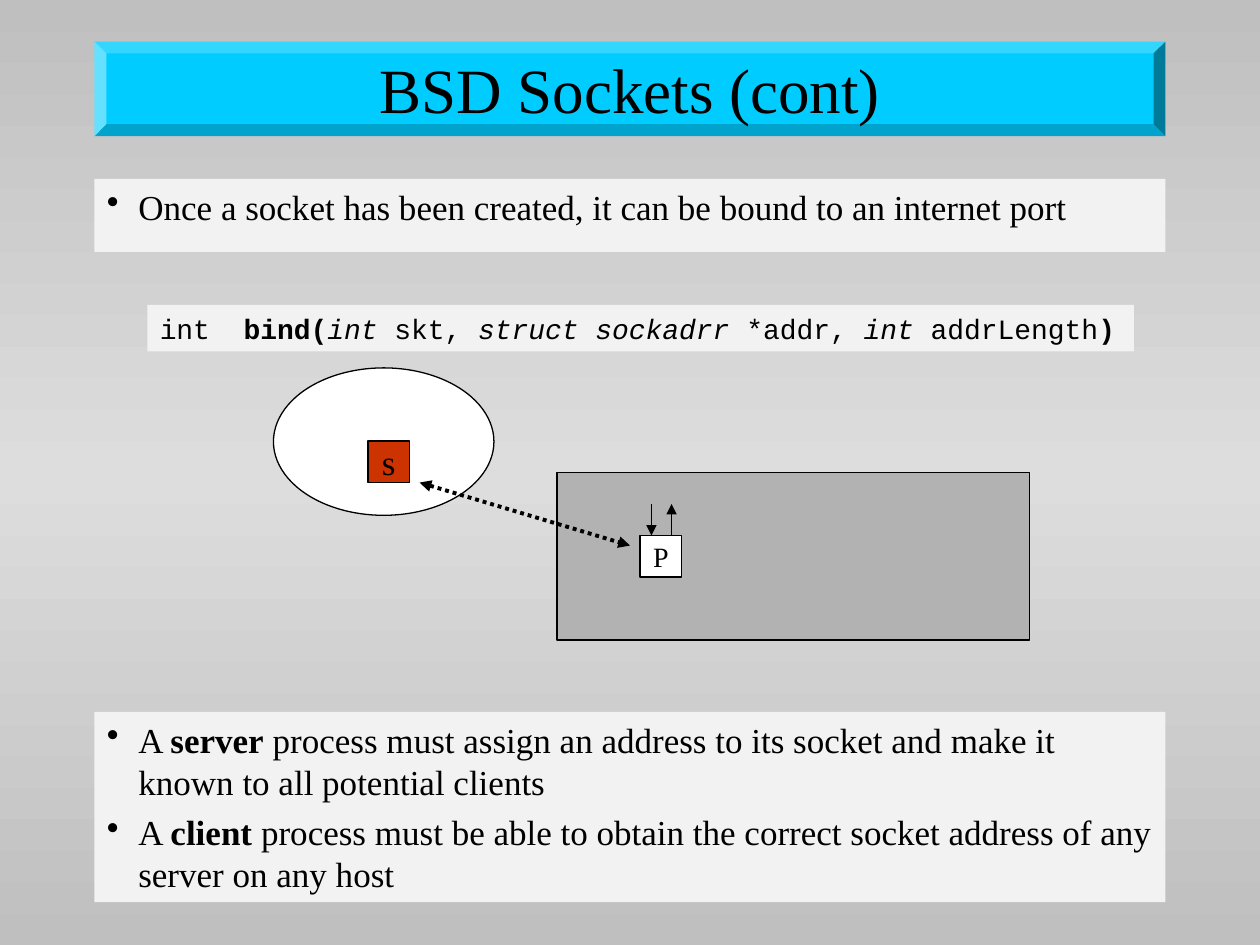
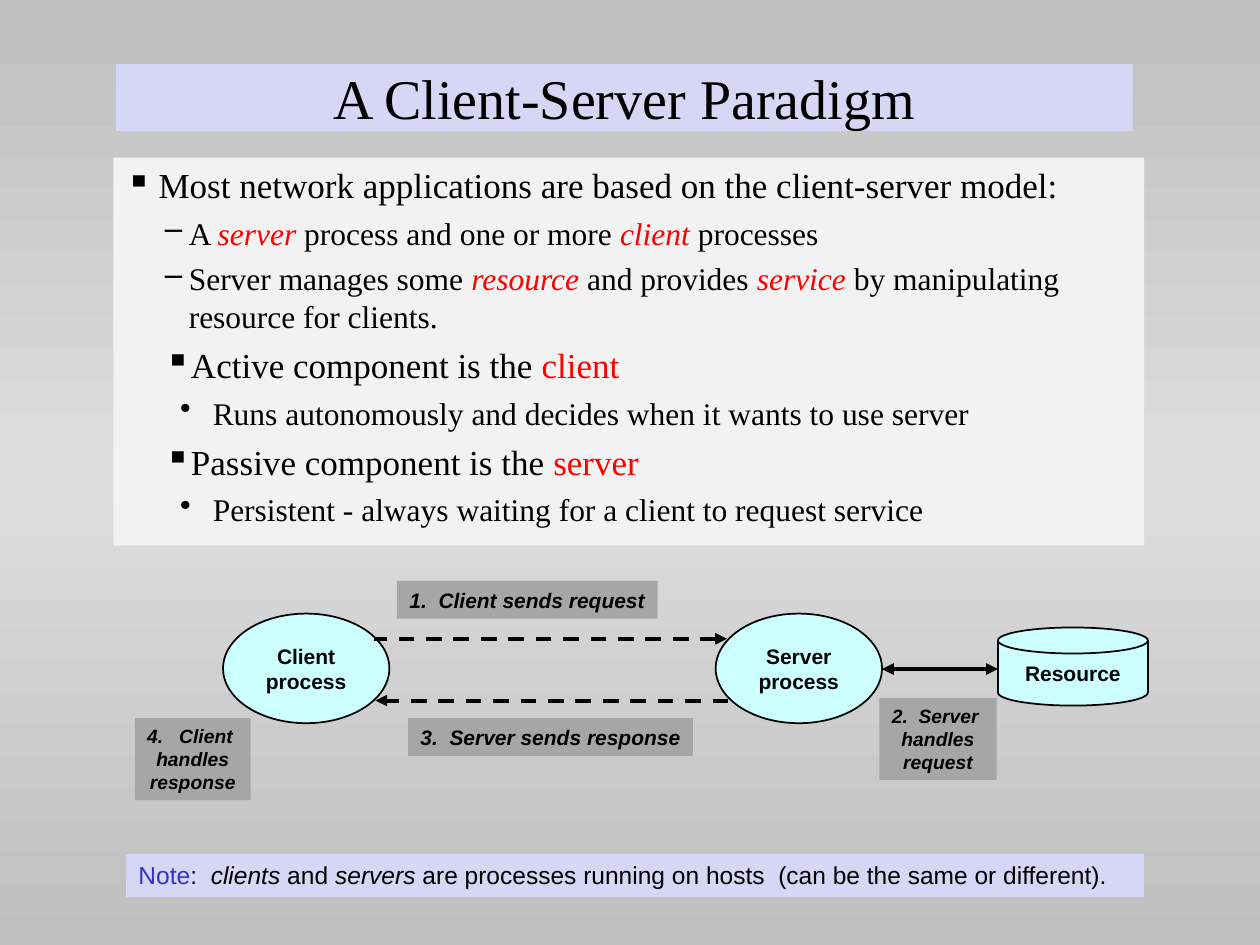
import copy
from dataclasses import dataclass
from typing import Any, Optional

import pptx
import pptx.dml.color
import pptx.enum.dml
import pptx.enum.shapes
import pptx.enum.text
import pptx.oxml
import pptx.oxml.ns
import pptx.util
from pptx.util import Inches

SHAPE = pptx.enum.shapes.MSO_SHAPE
ALIGN = pptx.enum.text.PP_ALIGN
ANCHOR = pptx.enum.text.MSO_ANCHOR
DASH = pptx.enum.dml.MSO_LINE
qn = pptx.oxml.ns.qn


@dataclass(frozen=True)
class Theme:
    black: str = "000000"
    white: str = "FFFFFF"
    backdrop: tuple[str, ...] = ("BFBFBF", "DDDDDD", "BFBFBF")
    panel: str = "F2F2F2"
    lavender: str = "D6D6F5"
    banner: str = "00CCFF"
    host: str = "B2B2B2"
    socket: str = "CC3300"
    process: str = "CCFFFF"
    step: str = "A6A6A6"
    emphasis: str = "FF0000"
    note: str = "3333CC"
    serif: str = "Times New Roman"
    sans: str = "Arial"
    mono: str = "Courier New"
    banner_size: float = 36
    title_size: float = 32
    body_size: float = 20
    detail_size: float = 18
    code_size: float = 16
    note_size: float = 14
    label_size: float = 12
    small_size: float = 11
    hairline: float = 0.75
    outline: float = 1
    arrow: float = 2.25


THEME = Theme()


@dataclass(frozen=True)
class Span:
    text: str
    bold: bool = False
    italic: bool = False
    color: str = THEME.black


@dataclass(frozen=True)
class Bullet:
    mark: str
    margin: float
    hanging: float
    level: int = 0
    size: float = THEME.body_size


@dataclass(frozen=True)
class Line:
    spans: tuple[Span, ...]
    bullet: Optional[Bullet] = None


@dataclass(frozen=True)
class Block:
    box: tuple[float, float, float, float]
    fill: str
    lines: tuple[Line, ...] = ()
    size: float = THEME.body_size
    font: str = THEME.serif
    outline: float = 0
    shape: SHAPE = SHAPE.RECTANGLE
    centred: bool = False
    wrap: bool = True


@dataclass(frozen=True)
class Arrow:
    start: tuple[float, float]
    end: tuple[float, float]
    width: float = THEME.arrow
    dash: Optional[DASH] = None
    head: bool = False
    tail: bool = False


DOT = Bullet("•", 0.25, 0.25)
SQUARE = Bullet("▪", 0.26, 0.26)
DASHED = Bullet("–", 0.5, 0.19, 1, THEME.detail_size)
SUBSQUARE = Bullet("▪", 0.5, 0.19, 1)
SUBDOT = Bullet("•", 0.69, 0.26, 2, THEME.detail_size)


def rgb(value: str) -> pptx.dml.color.RGBColor:
    return pptx.dml.color.RGBColor.from_string(value)


def line(*parts: Span | str, bullet: Optional[Bullet] = None) -> Line:
    return Line(tuple(Span(p) if isinstance(p, str) else p for p in parts), bullet)


def red(text: str, italic: bool = True) -> Span:
    return Span(text, italic=italic, color=THEME.emphasis)


def bold(text: str) -> Span:
    return Span(text, bold=True)


def italic(text: str) -> Span:
    return Span(text, italic=True)


def set_bullet(paragraph: Any, bullet: Bullet, first: bool) -> None:
    paragraph.level = bullet.level
    properties = paragraph._p.get_or_add_pPr()
    properties.set("marL", str(Inches(bullet.margin)))
    properties.set("indent", str(-Inches(bullet.hanging)))
    color = pptx.oxml.ns.qn("a:buClr")
    tint = properties.makeelement(color, {})
    tint.append(tint.makeelement(qn("a:srgbClr"), {"val": THEME.black}))
    properties.append(tint)
    properties.append(properties.makeelement(qn("a:buChar"), {"char": bullet.mark}))
    paragraph.space_before = pptx.util.Pt(0 if first else bullet.size / 4)


def write(frame: Any, block: Block) -> None:
    frame.word_wrap = block.wrap
    frame.vertical_anchor = ANCHOR.MIDDLE if block.centred else ANCHOR.TOP
    for index, item in enumerate(block.lines):
        paragraph = frame.add_paragraph() if index else frame.paragraphs[0]
        paragraph.text = item.spans[0].text
        for span in item.spans[1:]:
            paragraph.add_run().text = span.text
        paragraph.alignment = ALIGN.CENTER if block.centred else ALIGN.LEFT
        if item.bullet:
            set_bullet(paragraph, item.bullet, index == 0)
        for run, span in zip(paragraph.runs, item.spans):
            run.font.name = block.font
            run.font.size = pptx.util.Pt(item.bullet.size if item.bullet else block.size)
            run.font.bold = span.bold
            run.font.italic = span.italic
            run.font.color.rgb = rgb(span.color)


def draw_block(shapes: Any, block: Block) -> Any:
    drawn = shapes.add_shape(block.shape, *map(Inches, block.box))
    drawn.shadow.inherit = False
    drawn.fill.solid()
    drawn.fill.fore_color.rgb = rgb(block.fill)
    if block.outline:
        drawn.line.color.rgb = rgb(THEME.black)
        drawn.line.width = pptx.util.Pt(block.outline)
    else:
        drawn.line.fill.background()
    if block.lines:
        write(drawn.text_frame, block)
    return drawn


def draw_arrow(shapes: Any, arrow: Arrow) -> None:
    drawn = shapes.add_connector(
        pptx.enum.shapes.MSO_CONNECTOR.STRAIGHT,
        *map(Inches, (*arrow.start, *arrow.end)),
    )
    drawn.line.color.rgb = rgb(THEME.black)
    drawn.line.width = pptx.util.Pt(arrow.width)
    if arrow.dash:
        drawn.line.dash_style = arrow.dash
    stroke = drawn.line._get_or_add_ln()
    for tag, shown in (("a:headEnd", arrow.head), ("a:tailEnd", arrow.tail)):
        if shown:
            stroke.append(stroke.makeelement(qn(tag), {"type": "triangle"}))
    properties = drawn._element.spPr
    properties.append(properties.makeelement(qn("a:effectLst"), {}))


def title(text: str, box: tuple[float, float, float, float], fill: str,
          size: float, shape: SHAPE = SHAPE.RECTANGLE) -> Block:
    return Block(box, fill, (line(text),), size, shape=shape, centred=True)


def tag(letter: str, left: float, top: float, fill: str, size: float) -> Block:
    return Block((left, top, 0.33, 0.33), fill, (line(letter),), size,
                 outline=THEME.hairline, centred=True, wrap=False)


def process(box: tuple[float, float, float, float], *words: str,
            shape: SHAPE = SHAPE.OVAL) -> Block:
    return Block(box, THEME.process, tuple(line(bold(word)) for word in words),
                 THEME.label_size, THEME.sans, THEME.outline, shape, True, False)


def step(box: tuple[float, float, float, float], *words: str) -> Block:
    size = THEME.label_size if len(words) == 1 else THEME.small_size
    lines = tuple(line(Span(word, True, True)) for word in words)
    return Block(box, THEME.step, lines, size, THEME.sans, centred=True, wrap=False)


def paint_backdrop(master: Any) -> None:
    fill = master.background.fill
    fill.gradient()
    fill.gradient_angle = 270
    stops = next(master.element.iter(qn("a:gsLst")))
    stops.insert(1, copy.deepcopy(stops[0]))
    for index, (stop, color) in enumerate(zip(fill.gradient_stops, THEME.backdrop)):
        stop.color.rgb = rgb(color)
        stop.position = index / 2


def build_sockets(slide: Any) -> None:
    shapes = slide.shapes
    left, width = 0.75, 8.5
    draw_block(shapes, Block((4.42, 3.75, 3.75, 1.33), THEME.host, outline=THEME.hairline))
    banner = draw_block(shapes, title("BSD Sockets (cont)", (left, 0.33, width, 0.75),
                                      THEME.banner, THEME.banner_size, SHAPE.BEVEL))
    banner.adjustments[0] = 0.125

    port = shapes.add_group_shape().shapes
    draw_block(port, tag("P", 5.08, 4.25, THEME.white, THEME.code_size))
    draw_arrow(port, Arrow((5.17, 4), (5.17, 4.25), THEME.hairline, tail=True))
    draw_arrow(port, Arrow((5.33, 4.25), (5.33, 4), THEME.hairline, tail=True))

    blocks = (
        Block((2.17, 2.92, 1.75, 1.17), THEME.white, outline=THEME.hairline, shape=SHAPE.OVAL),
        tag("s", 2.92, 3.5, THEME.socket, THEME.body_size),
        Block((left, 5.65, width, 1.51), THEME.panel, (
            line("A ", bold("server"), " process must assign an address to its socket "
                 "and make it known to all potential clients", bullet=DOT),
            line("A ", bold("client"), " process must be able to obtain the correct "
                 "socket address of any server on any host", bullet=DOT),
        )),
        Block((left, 1.42, width, 0.58), THEME.panel, (
            line("Once a socket has been created, it can be bound to an internet port",
                 bullet=DOT),
        )),
        Block((1.17, 2.42, 7.83, 0.37), THEME.panel, (
            line("int  ", bold("bind("), italic("int"), " skt, ", italic("struct sockadrr"),
                 " *addr, ", italic("int"), " addrLength", bold(")")),
        ), THEME.code_size, THEME.mono),
    )
    for block in blocks:
        draw_block(shapes, block)
    draw_arrow(shapes, Arrow((3.33, 3.83), (5, 4.33), dash=DASH.ROUND_DOT, head=True, tail=True))


def build_paradigm(slide: Any) -> None:
    shapes = slide.shapes
    arrows = (
        Arrow((5.77, 5.07), (2.97, 5.07), dash=DASH.DASH, head=True),
        Arrow((5.78, 5.56), (2.98, 5.56), dash=DASH.DASH, tail=True),
        Arrow((7, 5.31), (7.92, 5.31), head=True, tail=True),
    )
    blocks = (
        title("A Client-Server Paradigm", (0.92, 0.51, 8.07, 0.53),
              THEME.lavender, THEME.title_size),
        process((1.77, 4.87, 1.32, 0.87), "Client", "process"),
        process((5.68, 4.87, 1.32, 0.87), "Server", "process"),
        process((7.92, 4.98, 1.19, 0.62), "Resource", shape=SHAPE.FLOWCHART_MAGNETIC_DISK),
        step((3.15, 4.61, 2.07, 0.3), "1.  Client sends request"),
        step((6.98, 5.54, 0.93, 0.65), "2.  Server ", "handles", "request"),
        step((3.24, 5.7, 2.26, 0.3), "3.  Server sends response"),
        step((1.07, 5.7, 0.92, 0.65), "4.   Client ", "handles", "response"),
        Block((0.9, 1.25, 8.18, 3.08), THEME.panel, (
            line("Most network applications are based on the client-server model:",
                 bullet=SQUARE),
            line("A ", red("server"), " process and one or more ", red("client "),
                 "processes", bullet=DASHED),
            line("Server manages some ", red("resource"), " and provides ", red("service"),
                 " by manipulating resource for clients.", bullet=DASHED),
            line("Active component is the ", red("client", False), bullet=SUBSQUARE),
            line("Runs autonomously and decides when it wants to use server", bullet=SUBDOT),
            line("Passive component is the ", red("server", False), bullet=SUBSQUARE),
            line("Persistent - always waiting for a client to request service", bullet=SUBDOT),
        )),
        Block((1, 6.78, 8.08, 0.34), THEME.lavender, (
            line(Span("Note", color=THEME.note), ":  ", italic("clients"), " and ",
                 italic("servers"),
                 " are processes running on hosts  (can be the same or different)."),
        ), THEME.note_size, THEME.sans),
    )
    for block in blocks:
        draw_block(shapes, block)
    for arrow in arrows:
        draw_arrow(shapes, arrow)


def main() -> None:
    deck = pptx.Presentation()
    deck.slide_width, deck.slide_height = Inches(10), Inches(7.5)
    paint_backdrop(deck.slide_master)
    for build in (build_sockets, build_paradigm):
        build(deck.slides.add_slide(deck.slide_layouts[6]))
    deck.save("out.pptx")


if __name__ == "__main__":
    main()
